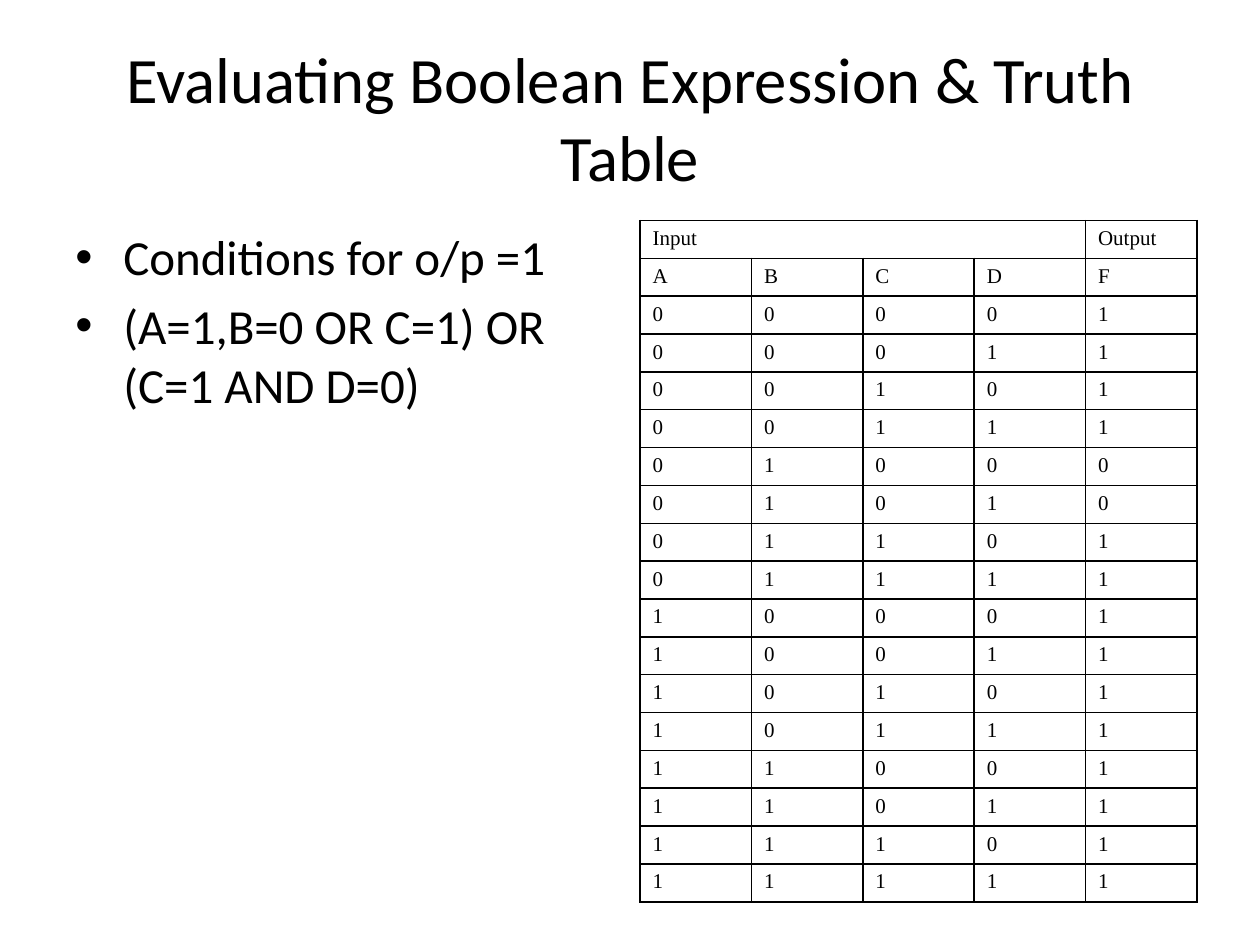
from itertools import product

from lxml.etree import SubElement
from pptx import Presentation
from pptx.dml.color import RGBColor
from pptx.enum.text import MSO_ANCHOR as Anchor, PP_ALIGN as Align
from pptx.oxml.ns import qn
from pptx.util import Inches, Pt

COLORS = {"ink": "000000", "paper": "FFFFFF"}
CONDITIONS = ["Conditions for o/p =1", "(A=1,B=0 OR C=1) OR (C=1 AND D=0)"]


def write_text(paragraph, text, size, font="Calibri", align=Align.LEFT, before=0):
    paragraph.text = text
    paragraph.alignment = align
    paragraph.space_before = Pt(before)
    paragraph.font.size = Pt(size)
    paragraph.font.name = font
    paragraph.font.color.rgb = RGBColor.from_string(COLORS["ink"])


def add_text_frame(slide, left, top, width, height, anchor=Anchor.TOP):
    box = slide.shapes.add_textbox(
        Inches(left), Inches(top), Inches(width), Inches(height))
    frame = box.text_frame
    frame.word_wrap = True
    frame.vertical_anchor = anchor
    return frame


def add_bullet(paragraph, indent):
    properties = paragraph._p.get_or_add_pPr()
    properties.set("marL", str(Inches(indent)))
    properties.set("indent", str(-Inches(indent)))
    SubElement(properties, qn("a:buFont"), typeface="Arial")
    SubElement(properties, qn("a:buChar"), char="•")


def add_conditions(slide):
    frame = add_text_frame(slide, 0.5, 1.75, 4.42, 4.95)
    for index, condition in enumerate(CONDITIONS):
        paragraph = frame.add_paragraph() if index else frame.paragraphs[0]
        add_bullet(paragraph, 0.38)
        write_text(paragraph, condition, 28, before=5.6 if index else 0)


def style_cell(cell):
    properties = cell._tc.get_or_add_tcPr()
    for side in ("a:lnL", "a:lnR", "a:lnT", "a:lnB"):
        border = SubElement(properties, qn(side), w=str(Pt(1)))
        border_fill = SubElement(border, qn("a:solidFill"))
        SubElement(border_fill, qn("a:srgbClr"), val=COLORS["ink"])
    cell.fill.solid()
    cell.fill.fore_color.rgb = RGBColor.from_string(COLORS["paper"])


def truth_rows():
    rows = [["Input", "", "", "", "Output"], list("ABCDF")]
    for a, b, c, d in product((0, 1), repeat=4):
        rows.append([a, b, c, d, int(a or not b or c)])
    return rows


def add_truth_table(slide, left, top, width, row_height):
    rows = truth_rows()
    columns = len(rows[0])
    table = slide.shapes.add_table(
        len(rows), columns, Inches(left), Inches(top),
        Inches(width), Inches(row_height * len(rows))).table
    table.first_row = False
    table.horz_banding = False
    for row_index, values in enumerate(rows):
        table.rows[row_index].height = Inches(row_height)
        for column_index, value in enumerate(values):
            cell = table.cell(row_index, column_index)
            style_cell(cell)
            write_text(cell.text_frame.paragraphs[0], str(value), 12,
                       font="Times New Roman", align=Align.JUSTIFY)
    table.cell(0, 0).merge(table.cell(0, columns - 2))


def main():
    deck = Presentation()
    deck.slide_width = Inches(10)
    deck.slide_height = Inches(7.5)
    slide = deck.slides.add_slide(deck.slide_layouts[6])

    heading = add_text_frame(slide, 0.5, 0.3, 9, 1.25, anchor=Anchor.MIDDLE)
    write_text(heading.paragraphs[0], "Evaluating Boolean Expression & Truth Table",
               37, align=Align.CENTER)
    add_conditions(slide)
    add_truth_table(slide, 5.08, 1.75, 4.42, 0.3)
    deck.save("out.pptx")


if __name__ == "__main__":
    main()
